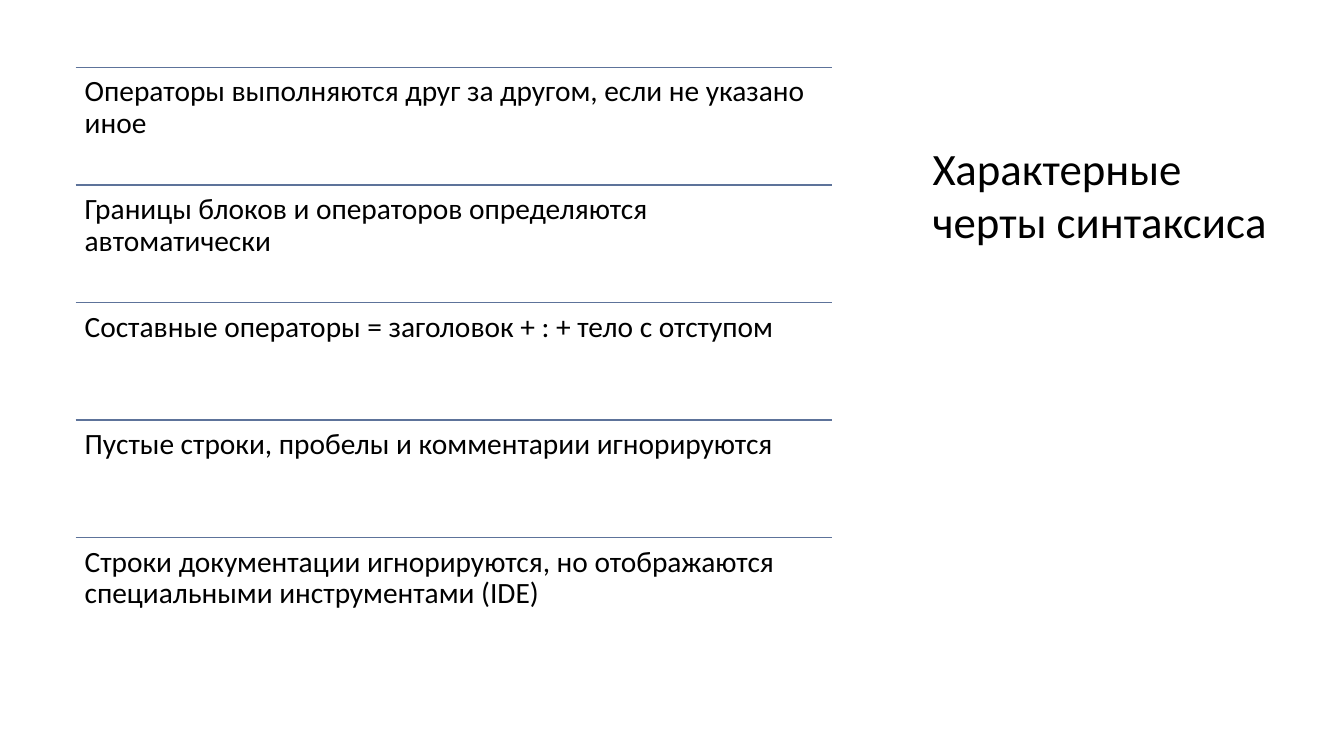
from dataclasses import dataclass

from lxml.etree import SubElement
from pptx import Presentation
from pptx.dml.color import RGBColor
from pptx.enum.shapes import MSO_CONNECTOR
from pptx.enum.text import MSO_ANCHOR
from pptx.oxml.ns import qn
from pptx.slide import Slide
from pptx.util import Inches, Pt

COLORS = {"text": "000000", "rule": "5D739A"}
FONT = "Calibri"
LIST_LEFT, LIST_TOP, LIST_WIDTH, LIST_HEIGHT = 0.75, 0.67, 7.5, 5.83
FEATURES = (
    "Операторы выполняются друг за другом, если не указано иное",
    "Границы блоков и операторов определяются автоматически",
    "Составные операторы = заголовок + : + тело с отступом",
    "Пустые строки, пробелы и комментарии игнорируются",
    "Строки документации игнорируются, но отображаются специальными инструментами (IDE)",
)


@dataclass(frozen=True)
class TextBlock:
    text: str
    left: float
    top: float
    width: float
    height: float
    size: float
    inset: float
    line_spacing: float
    anchor: MSO_ANCHOR


def add_text(slide: Slide, block: TextBlock) -> None:
    shape = slide.shapes.add_textbox(
        Inches(block.left), Inches(block.top), Inches(block.width), Inches(block.height)
    )
    frame = shape.text_frame
    frame.word_wrap = True
    frame.vertical_anchor = block.anchor
    frame.margin_left = frame.margin_right = Inches(block.inset)
    frame.margin_top = frame.margin_bottom = Inches(block.inset)
    paragraph = frame.paragraphs[0]
    paragraph.text = block.text
    paragraph.line_spacing = block.line_spacing
    paragraph.font.name = FONT
    paragraph.font.size = Pt(block.size)
    paragraph.font.color.rgb = RGBColor.from_string(COLORS["text"])


def add_rule(slide: Slide, top: float) -> None:
    connector = slide.shapes.add_connector(
        MSO_CONNECTOR.STRAIGHT,
        Inches(LIST_LEFT), Inches(top), Inches(LIST_LEFT + LIST_WIDTH), Inches(top),
    )
    connector.line.color.rgb = RGBColor.from_string(COLORS["rule"])
    connector.line.width = Pt(1)
    SubElement(connector._element.spPr, qn("a:effectLst"))


def main() -> None:
    presentation = Presentation()
    presentation.slide_width = Inches(13.33)
    presentation.slide_height = Inches(7.5)
    slide = presentation.slides.add_slide(presentation.slide_layouts[6])

    add_text(slide, TextBlock(
        "Характерные черты синтаксиса", 9.25, 0.66, 3.46, 1.8, 32, 0, 1.0, MSO_ANCHOR.BOTTOM
    ))
    row_height = LIST_HEIGHT / len(FEATURES)
    for index, feature in enumerate(FEATURES):
        top = LIST_TOP + index * row_height
        add_rule(slide, top)
        add_text(slide, TextBlock(
            feature, LIST_LEFT, top, LIST_WIDTH, row_height, 21, 0.09, 0.9, MSO_ANCHOR.TOP
        ))

    presentation.save("out.pptx")


if __name__ == "__main__":
    main()
